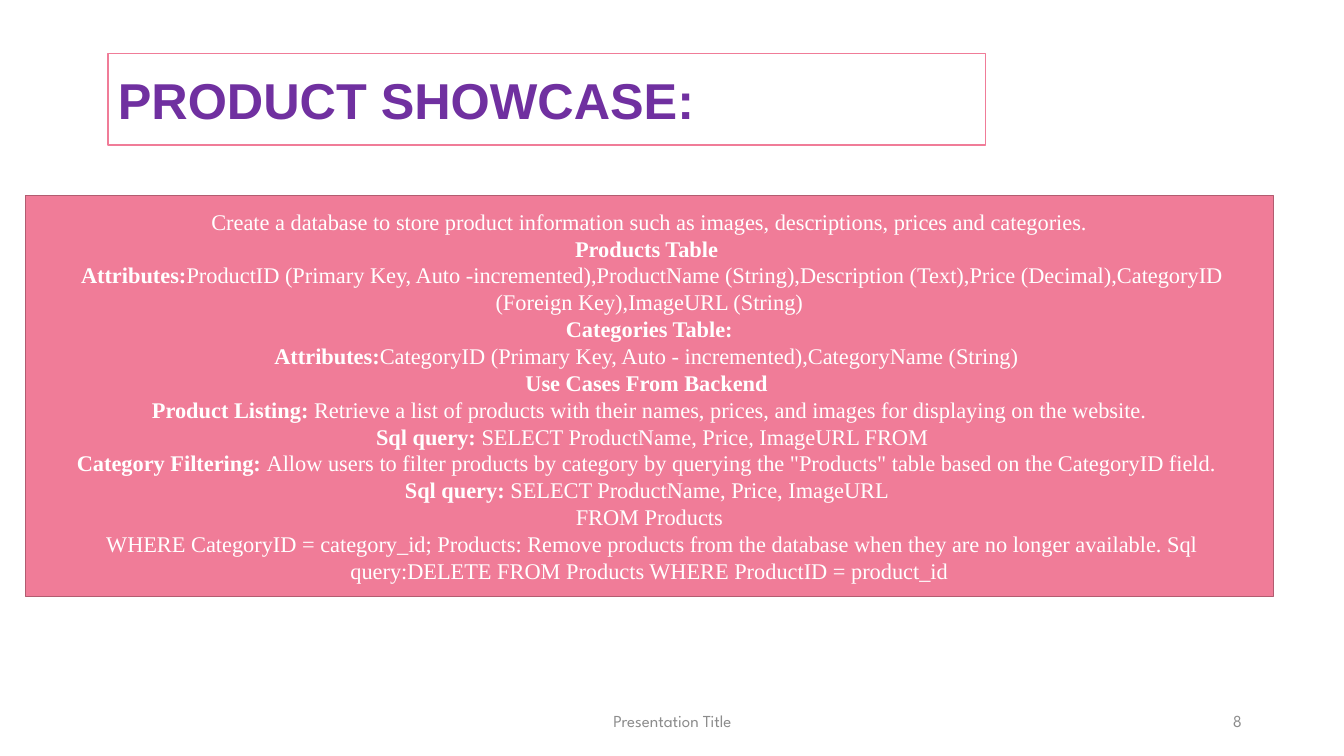
import pptx
import pptx.dml.color
import pptx.enum.shapes
import pptx.enum.text
import pptx.util

Cm = pptx.util.Cm
ALIGN = pptx.enum.text.PP_ALIGN

COLORS = {
    "pink": "F07C98",
    "dark_pink": "B25C70",
    "purple": "7030A0",
    "gray": "8C8C8C",
    "white": "FFFFFF",
}

# Each paragraph is a list of (text, bold) runs.
DATABASE_NOTES = [
    [("Create a database to store product information such as images, "
      "descriptions, prices and categories.", False)],
    [("Products Table ", True)],
    [(" ", False), ("Attributes:", True),
     ("ProductID (Primary Key, Auto -incremented),ProductName (String),"
      "Description (Text),Price (Decimal),CategoryID (Foreign Key),"
      "ImageURL (String)", False)],
    [(" ", False), ("Categories Table: ", True)],
    [("Attributes:", True),
     ("CategoryID (Primary Key, Auto - incremented),CategoryName (String) ", False)],
    [("Use Cases From Backend ", True)],
    [("Product Listing: ", True),
     ("Retrieve a list of products with their names, prices, and images "
      "for displaying on the website.", False)],
    [(" ", False), ("Sql query: ", True),
     ("SELECT ProductName, Price, ImageURL FROM", False)],
    [("Category Filtering: ", True),
     ("Allow users to filter products by category by querying the "
      "\"Products\" table based on the CategoryID field. ", False)],
    [("Sql query: ", True), ("SELECT ProductName, Price, ImageURL ", False)],
    [("FROM Products", False)],
    [(" WHERE CategoryID = category_id; Products: Remove products from the "
      "database when they are no longer available. Sql query:DELETE FROM "
      "Products WHERE ProductID = product_id", False)],
]


def rgb(name):
    return pptx.dml.color.RGBColor.from_string(COLORS[name])


def write_text(shape, paragraphs, *, font, size, color, align):
    """Fill a shape with paragraphs given as lists of (text, bold) runs."""
    frame = shape.text_frame
    frame.word_wrap = True
    frame.vertical_anchor = pptx.enum.text.MSO_ANCHOR.MIDDLE
    for index, runs in enumerate(paragraphs):
        paragraph = frame.add_paragraph() if index else frame.paragraphs[0]
        paragraph.alignment = align
        for text, bold in runs:
            run = paragraph.add_run()
            run.text = text
            run.font.name = font
            run.font.size = pptx.util.Pt(size)
            run.font.bold = bold
            run.font.color.rgb = rgb(color)


class SlideBuilder:
    def __init__(self, slide):
        self.slide = slide
        self.line_width = pptx.util.Pt(1)
        self.footer_style = {"font": "League Spartan", "size": 12, "color": "gray"}

    def panel(self, left, top, width, height, paragraphs, *, fill, line, **text_format):
        shape = self.slide.shapes.add_shape(
            pptx.enum.shapes.MSO_SHAPE.RECTANGLE,
            Cm(left), Cm(top), Cm(width), Cm(height))
        shape.shadow.inherit = False
        shape.fill.solid()
        shape.fill.fore_color.rgb = rgb(fill)
        shape.line.color.rgb = rgb(line)
        shape.line.width = self.line_width
        write_text(shape, paragraphs, **text_format)

    def footer(self, left, width, text, align):
        box = self.slide.shapes.add_textbox(Cm(left), Cm(17.65), Cm(width), Cm(1.02))
        write_text(box, [[(text, False)]], align=align, **self.footer_style)


def main():
    presentation = pptx.Presentation()
    presentation.slide_width = Cm(33.87)
    presentation.slide_height = Cm(19.05)
    builder = SlideBuilder(presentation.slides.add_slide(presentation.slide_layouts[6]))

    builder.footer(11.23, 11.43, "Presentation Title", ALIGN.CENTER)
    builder.footer(23.93, 7.62, "8", ALIGN.RIGHT)
    builder.panel(0.64, 4.92, 31.45, 10.11, DATABASE_NOTES,
                  fill="pink", line="dark_pink", font="Times New Roman",
                  size=16, color="white", align=ALIGN.CENTER)
    builder.panel(2.72, 1.35, 22.12, 2.31, [[("PRODUCT SHOWCASE:", True)]],
                  fill="white", line="pink", font="Arial",
                  size=36, color="purple", align=ALIGN.LEFT)

    presentation.save("out.pptx")


if __name__ == "__main__":
    main()
